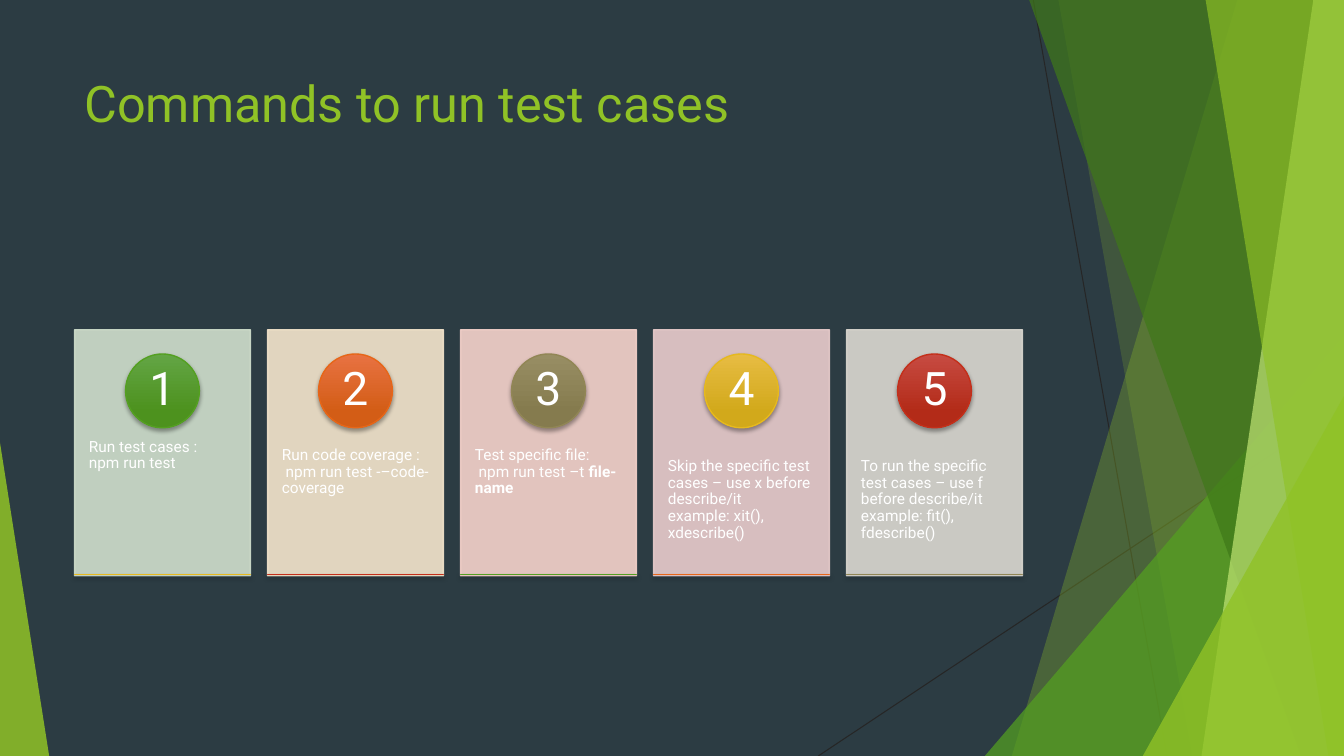
"""Build a slide that lists five commands for running test cases."""
from dataclasses import dataclass

from lxml.etree import SubElement
from pptx import Presentation
from pptx.dml.color import RGBColor as Rgb
from pptx.enum.shapes import MSO_CONNECTOR as Connector, MSO_SHAPE as Preset
from pptx.enum.text import MSO_ANCHOR as Anchor, PP_ALIGN as Align
from pptx.oxml.ns import qn
from pptx.util import Cm, Pt

FONT = "Roboto"
WIDTH, HEIGHT = 33.87, 19.05
CARD_LEFT, CARD_TOP, CARD_PITCH = 1.88, 8.31, 4.864
CARD_WIDTH, CARD_HEIGHT = 4.43, 6.2
BADGE_SIZE, NUMBER_SIZE = 1.86, 1.32
COLORS = {
    "background": "2C3C43", "white": "FFFFFF", "black": "000000",
    "hairline": "262626", "lime": "90C226", "green": "54A021",
    "forest": "3F7819", "pale lime": "C0E474",
    "mint": "D1DFCD", "sand": "F5E6CD", "rose": "F6D3CC",
    "mauve": "EACDCD", "stone": "DCD9D1",
}


@dataclass(frozen=True)
class Facet:
    top_left: float
    bottom_left: float
    color: str
    opacity: int


@dataclass(frozen=True)
class Triangle:
    box: tuple[float, float, float, float]
    apex: float
    color: str
    opacity: int


@dataclass(frozen=True)
class Accent:
    light: str
    dark: str
    line: str


@dataclass(frozen=True)
class Card:
    lines: tuple[str, ...]
    color: str
    emphasis: str = ""


HAIRLINES = [(26.04, 0, 29.41, HEIGHT), (WIDTH, 10.24, 20.62, HEIGHT)]
DECORATION = [
    Facet(31.19, 25.5, "lime", 30),
    Facet(26.67, 30.05, "lime", 20),
    Triangle((24.82, 8.46, 9.05, 10.59), 1, "green", 72),
    Facet(25.93, 32.79, "forest", 70),
    Facet(33.1, 30.28, "pale lime", 70),
    Facet(30.38, 33.48, "lime", 65),
    Triangle((28.8, 9.98, 5.07, 9.07), 1, "lime", 80),
    Triangle((0, 11.15, 1.24, 7.9), 0, "lime", 85),
]
ACCENTS = [
    Accent("63A545", "4D921E", "54A021"),
    Accent("E87242", "D35D16", "E76618"),
    Accent("988E64", "857B4E", "918655"),
    Accent("E7BC43", "D2A91B", "E6B91E"),
    Accent("C74B42", "B32B18", "C42F1A"),
]
CARDS = [
    Card(("Run test cases :", "npm run test"), "mint"),
    Card(("Run code coverage :", " npm run test -–code-coverage"), "sand"),
    Card(("Test specific file:", " npm run test –t "), "rose", "file-name"),
    Card(("Skip the specific test cases – use x before describe/it",
          "example: xit(), xdescribe()"), "mauve"),
    Card(("To run the specific test cases – use f before describe/it",
          "example: fit(), fdescribe()"), "stone"),
]


def rgb(name: str) -> Rgb:
    return Rgb.from_string(COLORS[name])


def set_opacity(fill_parent, percent: int) -> None:
    color = fill_parent.find(qn("a:solidFill"))[0]
    SubElement(color, qn("a:alpha"), val=str(percent * 1000))


def paint(shape, color: str, opacity: int, outlined: bool = False) -> None:
    shape.shadow.inherit = False
    properties = shape._element.spPr
    shape.fill.solid()
    shape.fill.fore_color.rgb = rgb(color)
    set_opacity(properties, opacity)
    if outlined:
        shape.line.color.rgb = rgb(color)
        shape.line.width = Pt(1)
        set_opacity(properties.find(qn("a:ln")), opacity)
    else:
        shape.line.fill.background()


def add_preset(slide, preset: Preset, box: tuple[float, float, float, float]):
    return slide.shapes.add_shape(preset, *map(Cm, box))


def add_hairline(slide, ends: tuple[float, float, float, float]) -> None:
    connector = slide.shapes.add_connector(Connector.STRAIGHT, *map(Cm, ends))
    connector.line.color.rgb = rgb("hairline")
    connector.line.width = Pt(0.75)
    SubElement(connector._element.spPr, qn("a:effectLst"))


def add_decoration(slide, item: Facet | Triangle) -> None:
    if isinstance(item, Triangle):
        shape = add_preset(slide, Preset.ISOSCELES_TRIANGLE, item.box)
        shape.adjustments[0] = item.apex
    else:
        builder = slide.shapes.build_freeform(Cm(item.top_left), Cm(-0.02))
        corners = [(WIDTH, -0.02), (WIDTH, HEIGHT), (item.bottom_left, HEIGHT)]
        builder.add_line_segments([(Cm(x), Cm(y)) for x, y in corners], close=True)
        shape = builder.convert_to_shape()
    paint(shape, item.color, item.opacity)


def add_accent(slide, preset: Preset, box: tuple[float, float, float, float],
               accent: Accent) -> None:
    shape = add_preset(slide, preset, box)
    shape.fill.gradient()
    shape.fill.gradient_angle = 270
    stops = zip(shape.fill.gradient_stops, (accent.light, accent.dark), (0, 0.78))
    for stop, color, position in stops:
        stop.color.rgb = Rgb.from_string(color)
        stop.position = position
    shape.line.color.rgb = Rgb.from_string(accent.line)
    shape.line.width = Pt(1)
    shape.shadow.inherit = False
    effects = shape._element.spPr.find(qn("a:effectLst"))
    shadow = SubElement(effects, qn("a:outerShdw"), blurRad=str(Pt(3)),
                        dist=str(Pt(2)), dir="5400000", rotWithShape="0")
    color = SubElement(shadow, qn("a:srgbClr"), val=COLORS["black"])
    SubElement(color, qn("a:alpha"), val="35000")


def add_text(slide, box: tuple[float, float, float, float], lines: tuple[str, ...],
             size: int, color: str, insets: tuple[float, float] = (0.25, 0.13),
             emphasis: str = "", centered: bool = False, spacing: float = 1.0) -> None:
    frame = slide.shapes.add_textbox(*map(Cm, box)).text_frame
    frame.word_wrap = True
    frame.margin_left = frame.margin_right = Cm(insets[0])
    frame.margin_top = frame.margin_bottom = Cm(insets[1])
    frame.vertical_anchor = Anchor.MIDDLE if centered else Anchor.TOP
    paragraph = frame.paragraphs[0]
    paragraph.alignment = Align.CENTER if centered else Align.LEFT
    paragraph.line_spacing = spacing

    def add_run(text: str, bold: bool = False) -> None:
        run = paragraph.add_run()
        run.text = text
        run.font.name, run.font.size, run.font.bold = FONT, Pt(size), bold
        run.font.color.rgb = rgb(color)

    for index, line in enumerate(lines):
        if index:
            paragraph.add_line_break()
        add_run(line)
    if emphasis:
        add_run(emphasis, bold=True)


def add_card(slide, index: int, card: Card) -> None:
    left = CARD_LEFT + index * CARD_PITCH
    center = left + CARD_WIDTH / 2
    panel = add_preset(slide, Preset.RECTANGLE, (left, CARD_TOP, CARD_WIDTH, CARD_HEIGHT))
    paint(panel, card.color, 90, outlined=True)
    add_text(slide, (left, 10.64, CARD_WIDTH, 3.71), card.lines, 11, "white",
             (0.36, 0.91), emphasis=card.emphasis, spacing=0.9)
    add_accent(slide, Preset.OVAL,
               (center - BADGE_SIZE / 2, 8.92, BADGE_SIZE, BADGE_SIZE), ACCENTS[index])
    add_text(slide, (center - NUMBER_SIZE / 2, 9.19, NUMBER_SIZE, NUMBER_SIZE),
             (str(index + 1),), 33, "white", (0.15, 0.03), centered=True, spacing=0.9)
    add_accent(slide, Preset.RECTANGLE, (left, 14.48, CARD_WIDTH, 0),
               ACCENTS[(index + 3) % len(ACCENTS)])


def main() -> None:
    presentation = Presentation()
    presentation.slide_width, presentation.slide_height = Cm(WIDTH), Cm(HEIGHT)
    slide = presentation.slides.add_slide(presentation.slide_layouts[6])
    slide.background.fill.solid()
    slide.background.fill.fore_color.rgb = rgb("background")
    for ends in HAIRLINES:
        add_hairline(slide, ends)
    for item in DECORATION:
        add_decoration(slide, item)
    add_text(slide, (1.88, 1.7, 23.88, 3.66), ("Commands to run test cases",), 36, "lime")
    for index, card in enumerate(CARDS):
        add_card(slide, index, card)
    presentation.save("out.pptx")


if __name__ == "__main__":
    main()
